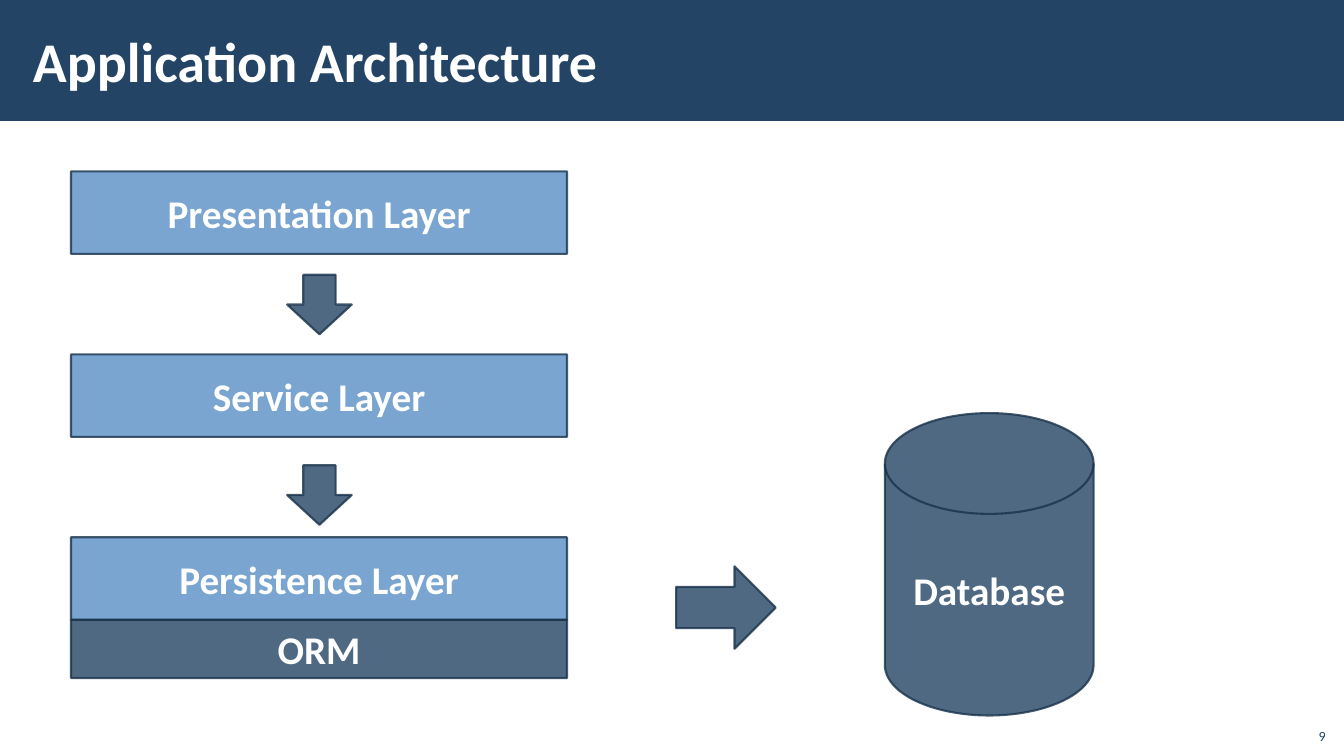
import pptx
import pptx.util
import pptx.dml.color
import pptx.enum.shapes
import pptx.enum.text
import pptx.oxml
import pptx.oxml.ns
import dataclasses

Cm = pptx.util.Cm
SHAPE = pptx.enum.shapes.MSO_SHAPE
ALIGN = pptx.enum.text.PP_ALIGN
ANCHOR = pptx.enum.text.MSO_ANCHOR


@dataclasses.dataclass
class Theme:
    font: str = "Calibri"
    navy: str = "234465"
    blue: str = "588FC5"
    edge: str = "1A334C"
    white: str = "FFFFFF"
    title_size: int = 40
    label_size: int = 28
    number_size: int = 10
    line_width: float = 1.5
    opacity: int = 80


class SlideBuilder:
    def __init__(self, slide, theme):
        self.s = slide
        self.theme = theme

    def paint(self, fill, color, opacity=100):
        fill.solid()
        fill.fore_color.rgb = pptx.dml.color.RGBColor.from_string(color)
        if opacity < 100:
            ns = pptx.oxml.ns.nsdecls("a")
            alpha = pptx.oxml.parse_xml(f'<a:alpha {ns} val="{opacity * 1000}"/>')
            fill._xPr.find(".//" + pptx.oxml.ns.qn("a:srgbClr")).append(alpha)

    def label(self, sp, text, size, color, bold=True, align=ALIGN.CENTER,
              anchor=ANCHOR.MIDDLE, **frame):
        tf = sp.text_frame
        frame = {"word_wrap": True, "auto_size": pptx.enum.text.MSO_AUTO_SIZE.NONE,
                 "vertical_anchor": anchor, **frame}
        for name, value in frame.items():
            setattr(tf, name, value)
        p = tf.paragraphs[0]
        p.alignment = align
        r = p.add_run()
        r.text = text
        style = {"name": self.theme.font, "size": pptx.util.Pt(size), "bold": bold}
        for name, value in style.items():
            setattr(r.font, name, value)
        self.paint(r.font.fill, color)

    def title(self, text, left, top, width, height):
        sp = self.s.shapes.title
        box = {"left": left, "top": top, "width": width, "height": height}
        for name, value in box.items():
            setattr(sp, name, Cm(value))
        self.label(sp, text, self.theme.title_size, self.theme.white, align=ALIGN.LEFT,
                   margin_left=Cm(0.3), margin_right=Cm(0.3),
                   margin_top=Cm(0.1), margin_bottom=Cm(0.1))

    def band(self, width, height):
        sp = self.s.shapes.add_shape(SHAPE.RECTANGLE, 0, 0, Cm(width), Cm(height))
        sp.shadow.inherit = False
        self.paint(sp.fill, self.theme.navy)
        sp.line.fill.background()
        self.s.shapes.title._element.addprevious(sp._element)

    def number(self, text, *box):
        sp = self.s.shapes.add_textbox(*map(Cm, box))
        self.label(sp, text, self.theme.number_size, self.theme.navy, bold=False,
                   align=ALIGN.RIGHT, anchor=ANCHOR.BOTTOM)

    def block(self, kind, color, *box, text=None, rotation=0):
        sp = self.s.shapes.add_shape(kind, *map(Cm, box))
        sp.shadow.inherit = False
        sp.rotation = rotation
        self.paint(sp.fill, color, self.theme.opacity)
        sp.line.width = pptx.util.Pt(self.theme.line_width)
        self.paint(sp.line.fill, self.theme.edge, self.theme.opacity)
        if text:
            self.label(sp, text, self.theme.label_size, self.theme.white)


prs = pptx.Presentation()
prs.slide_width, prs.slide_height = Cm(33.87), Cm(19.05)
theme = Theme()
slide = SlideBuilder(prs.slides.add_slide(prs.slide_layouts[5]), theme)

# Header and slide number
slide.band(33.87, 3.05)
slide.title("Application Architecture", 0.53, 0.28, 27, 2.46)
slide.number("9", 32.64, 18.08, 1.02, 0.81)

# Layers, evenly spaced, with the ORM directly under the last one
left, top, width, height, step = 1.79, 4.32, 12.5, 2.08, 4.61
layers = ["Presentation Layer", "Service Layer", "Persistence Layer"]
for i, name in enumerate(layers):
    slide.block(SHAPE.RECTANGLE, theme.blue, left, top + i * step, width, height, text=name)
orm_top = top + (len(layers) - 1) * step + height
slide.block(SHAPE.RECTANGLE, theme.navy, left, orm_top, width, 1.47, text="ORM")

# Database
slide.block(SHAPE.FLOWCHART_MAGNETIC_DISK, theme.navy, 22.3, 10.41, 5.26, 7.62,
            text="Database")

# Arrows down between the layers, then across to the database
for i in range(len(layers) - 1):
    slide.block(SHAPE.RIGHT_ARROW, theme.navy, 7.3, 6.86 + i * 4.8, 1.5, 1.63, rotation=90)
slide.block(SHAPE.RIGHT_ARROW, theme.navy, 17.04, 14.27, 2.51, 2.08)

prs.save("out.pptx")
